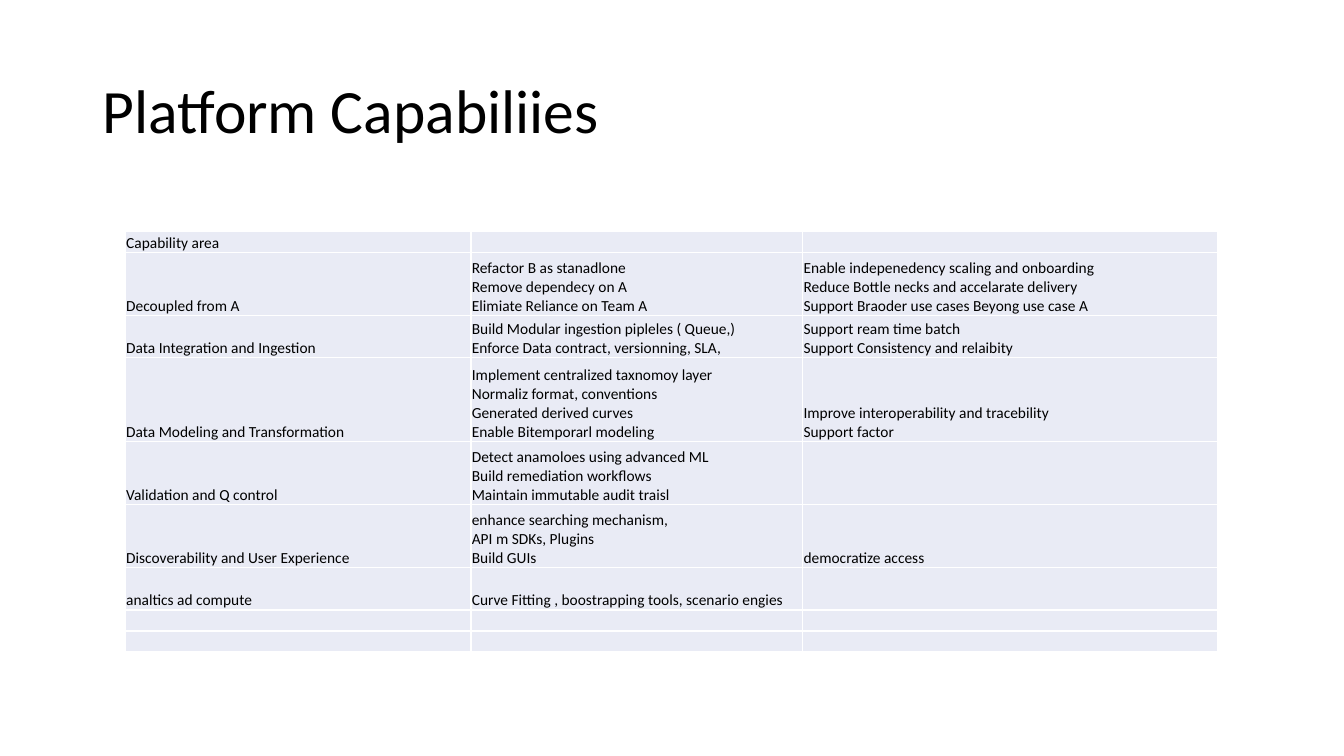
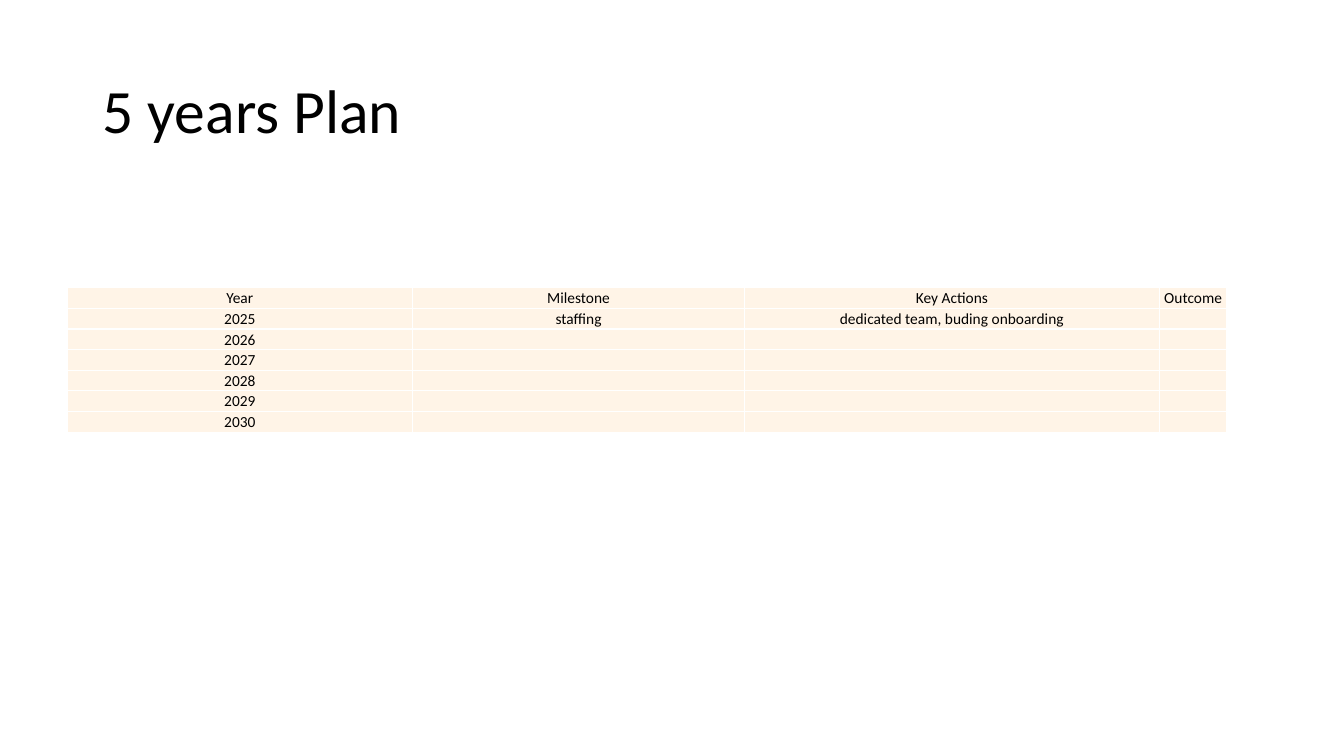
from dataclasses import dataclass

from lxml import etree
from pptx import Presentation
from pptx.dml.color import RGBColor
from pptx.enum import text
from pptx.oxml import ns
from pptx.util import Cm, Pt


@dataclass(frozen=True)
class Theme:
    font: str = "Calibri"
    ink: str = "000000"
    border: str = "FFFFFF"
    blue_tint: str = "E9EBF5"
    orange_tint: str = "FFF4E7"
    title_size: int = 44
    cell_size: int = 11
    border_width: int = 1


THEME = Theme()
TITLE_BOX = (2.34, 1.02, 29.21, 3.68)
COLUMNS = (8.71, 8.36, 10.46, 1.7)

# Each row: height in text lines, then the cells.
CAPABILITIES = [
    (1, "Capability area"),
    (3, "Decoupled from A",
     "Refactor B as stanadlone\nRemove dependecy on A\nElimiate Reliance on Team A",
     "Enable indepenedency scaling and onboarding\n"
     "Reduce Bottle necks and accelarate delivery\n"
     "Support Braoder use cases Beyong use case A"),
    (2, "Data Integration and Ingestion",
     "Build Modular ingestion pipleles ( Queue,)\n"
     "Enforce Data contract, versionning, SLA,",
     "Support ream time batch\nSupport Consistency and relaibity"),
    (4, "Data Modeling and Transformation",
     "Implement centralized taxnomoy layer\nNormaliz format, conventions\n"
     "Generated derived curves\nEnable Bitemporarl modeling",
     "Improve interoperability and tracebility\nSupport factor"),
    (3, "Validation and Q control",
     "Detect anamoloes using advanced ML\nBuild remediation workflows\n"
     "Maintain immutable audit traisl"),
    (3, "Discoverability and User Experience",
     "enhance searching mechanism,\nAPI m SDKs, Plugins\nBuild GUIs",
     "democratize access"),
    (2, "analtics ad compute", "Curve Fitting , boostrapping tools, scenario engies"),
    (1,),
    (1,),
]
PLAN = [
    (1, "Year", "Milestone", "Key Actions", "Outcome"),
    (1, "2025", "staffing", "dedicated team, buding onboarding"),
    *((1, str(year)) for year in range(2026, 2031)),
]


def write(frame, content, size, align=text.PP_ALIGN.LEFT, spacing=1.0):
    """Write one paragraph per line; an empty line keeps the text size."""
    for index, line in enumerate(content.split("\n")):
        para = frame.add_paragraph() if index else frame.paragraphs[0]
        para.alignment = align
        para.line_spacing = spacing
        if line:
            span = para.add_run()
            span.text = line
            span.font.name = THEME.font
            span.font.size = Pt(size)
            span.font.color.rgb = RGBColor.from_string(THEME.ink)
        else:
            etree.SubElement(para._p, ns.qn("a:endParaRPr"), sz=str(size * 100))


def add_title(page, content, box):
    frame = page.shapes.add_textbox(*map(Cm, box)).text_frame
    frame.word_wrap = True
    frame.vertical_anchor = text.MSO_ANCHOR.MIDDLE
    write(frame, content, THEME.title_size, spacing=0.9)


def add_borders(cell):
    properties = cell._tc.get_or_add_tcPr()
    for side in ("lnL", "lnR", "lnT", "lnB"):
        line = etree.SubElement(properties, ns.qn(f"a:{side}"),
                                w=str(Pt(THEME.border_width)))
        fill = etree.SubElement(line, ns.qn("a:solidFill"))
        etree.SubElement(fill, ns.qn("a:srgbClr"), val=THEME.border)


def format_cell(cell, content, tint, anchor, align):
    cell.margin_left = cell.margin_top = cell.margin_right = Cm(0.02)
    cell.margin_bottom = 0
    cell.vertical_anchor = anchor
    add_borders(cell)
    cell.fill.solid()
    cell.fill.fore_color.rgb = RGBColor.from_string(tint)
    write(cell.text_frame, content, THEME.cell_size, align)


def add_grid(page, rows, left, top, columns, line_height, tint, anchor, align):
    height = sum(row[0] for row in rows) * line_height
    table = page.shapes.add_table(len(rows), len(columns), Cm(left), Cm(top),
                                  Cm(sum(columns)), Cm(height)).table
    table.first_row = table.horz_banding = False
    for column, width in zip(table.columns, columns):
        column.width = Cm(width)
    for row, (lines, *contents) in zip(table.rows, rows):
        row.height = Cm(lines * line_height)
        contents += [""] * (len(columns) - len(contents))
        for cell, content in zip(row.cells, contents):
            format_cell(cell, content, tint, anchor, align)


def add_table_page(deck, title, rows, **grid):
    page = deck.slides.add_slide(deck.slide_layouts[6])
    add_title(page, title, TITLE_BOX)
    add_grid(page, rows, **grid)


def main():
    deck = Presentation()
    deck.slide_width, deck.slide_height = Cm(33.87), Cm(19.05)
    add_table_page(deck, "Platform Capabiliies", CAPABILITIES,
                   left=3.16, top=5.83, columns=COLUMNS[:3], line_height=0.53,
                   tint=THEME.blue_tint, anchor=text.MSO_ANCHOR.BOTTOM,
                   align=text.PP_ALIGN.LEFT)
    add_table_page(deck, "5 years Plan", PLAN,
                   left=1.69, top=7.25, columns=COLUMNS, line_height=0.52,
                   tint=THEME.orange_tint, anchor=text.MSO_ANCHOR.MIDDLE,
                   align=text.PP_ALIGN.CENTER)
    deck.save("out.pptx")


if __name__ == "__main__":
    main()
